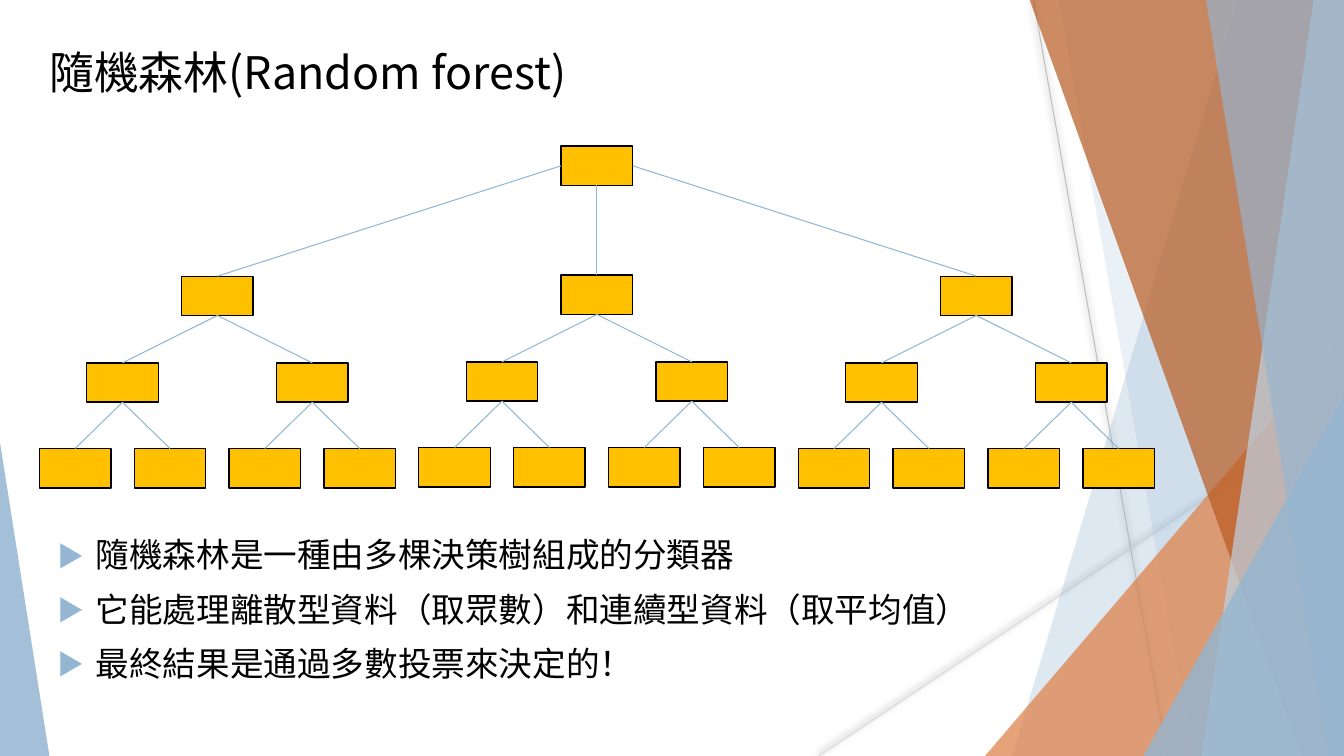
from dataclasses import dataclass

from lxml.etree import SubElement
from pptx import Presentation
from pptx.dml.color import RGBColor
from pptx.enum.shapes import MSO_CONNECTOR, MSO_SHAPE
from pptx.enum.text import MSO_ANCHOR, PP_ALIGN
from pptx.oxml.ns import qn
from pptx.util import Inches, Pt


@dataclass(frozen=True)
class Theme:
    font: str = "Noto Sans CJK SC"
    text: str = "000000"
    accent: str = "94B6D2"
    pale: str = "BFD3E4"
    orange: str = "DD8047"
    rust: str = "B95B22"
    node: str = "FFC000"
    branch: str = "8EB7D8"
    ray: str = "BFBFBF"
    pale_ray: str = "D9D9D9"
    title_size: float = 32
    body_size: float = 24
    thin: float = 0.75
    outline: float = 1
    leading: float = 1.2


THEME = Theme()
TOP, LEFT, BOTTOM, RIGHT = range(4)
SLIDE_W, SLIDE_H = 13.33, 7.5


def set_values(target, values):
    for name, value in values.items():
        setattr(target, name, value)


def add_xml(parent, tag, **attributes):
    return SubElement(parent, qn(tag), {k: str(v) for k, v in attributes.items()})


def paint(shape, color, opacity=100):
    shape.shadow.inherit = False
    shape.fill.solid()
    shape.fill.fore_color.rgb = RGBColor.from_string(color)
    if opacity < 100:
        solid = shape._element.spPr.find(qn("a:solidFill"))
        add_xml(solid[0], "a:alpha", val=opacity * 1000)
    shape.line.fill.background()


def draw_line(slide, color, start=(0, 0), end=(0, 0)):
    """Return a thin line and its empty effect list."""
    line = slide.shapes.add_connector(
        MSO_CONNECTOR.STRAIGHT, *[Inches(v) for v in (*start, *end)])
    line.line.color.rgb = RGBColor.from_string(color)
    line.line.width = Pt(THEME.thin)
    return line, add_xml(line._element.spPr, "a:effectLst")


# Decorative rays, bands and corner triangles
def draw_backdrop(slide, width, height):
    def ray(color, start, end):
        _, effects = draw_line(slide, color, start, end)
        shadow = add_xml(effects, "a:outerShdw", blurRad=Pt(5), dist=Pt(2),
                         dir=245 * 60000, rotWithShape=0)
        add_xml(add_xml(shadow, "a:srgbClr", val="000000"), "a:alpha", val=50000)

    def band(color, opacity, top_x, bottom_x):
        corners = [(top_x, -0.01), (width, -0.01), (width, height), (bottom_x, height)]
        points = [(Inches(x), Inches(y)) for x, y in corners]
        outline = slide.shapes.build_freeform(*points[0], scale=1.0)
        outline.add_line_segments(points[1:], close=True)
        paint(outline.convert_to_shape(), color, opacity)

    def corner(color, opacity, left, top, corner_width, apex):
        triangle = slide.shapes.add_shape(
            MSO_SHAPE.ISOSCELES_TRIANGLE, Inches(left), Inches(top),
            Inches(corner_width), Inches(height - top))
        triangle.adjustments[0] = apex
        paint(triangle, color, opacity)

    ray(THEME.ray, (10.25, 0), (11.58, height))
    ray(THEME.pale_ray, (width, 4.03), (8.12, height))
    band(THEME.accent, 30, 12.28, 10.04)
    band(THEME.accent, 20, 10.5, 11.83)
    corner(THEME.orange, 72, 9.77, 3.33, width - 9.77, 1)
    band(THEME.rust, 70, 10.21, 12.91)
    band(THEME.pale, 70, 13.03, 11.92)
    band(THEME.accent, 65, 11.96, 13.18)
    corner(THEME.accent, 80, 11.34, 3.93, width - 11.34, 1)
    corner(THEME.accent, 85, 0, 4.39, 0.49, 0)


# Forest: one root, three binary trees, twelve leaves
def draw_forest(slide, left, top, width):
    node_w, node_h = 0.71, 0.39
    trees, leaves_per_tree = 3, 4
    pitch = (width - node_w) / (trees * leaves_per_tree - 1)
    level_tops = [1.29, 2.15, 3.0]

    def node(column, y):
        box = slide.shapes.add_shape(
            MSO_SHAPE.RECTANGLE, Inches(left + column * pitch), Inches(top + y),
            Inches(node_w), Inches(node_h))
        paint(box, THEME.node)
        box.line.color.rgb = RGBColor.from_string(THEME.text)
        box.line.width = Pt(THEME.outline)
        return box

    def branch(parent, side, child):
        line, _ = draw_line(slide, THEME.branch)
        line.begin_connect(parent, side)
        line.end_connect(child, TOP)

    def grow(first_leaf, leaf_count, level, lift):
        parent = node(first_leaf + (leaf_count - 1) / 2, level_tops[level] - lift)
        if leaf_count > 1:
            half = leaf_count // 2
            for start in (first_leaf, first_leaf + half):
                branch(parent, BOTTOM, grow(start, half, level + 1, lift))
        return parent

    root = node((trees * leaves_per_tree - 1) / 2, 0)
    for tree, (side, lift) in enumerate([(LEFT, 0), (BOTTOM, 0.01), (RIGHT, 0)]):
        branch(root, side, grow(tree * leaves_per_tree, leaves_per_tree, 0, lift))


def write_text(slide, box, lines, size, anchor, bulleted=False):
    frame = slide.shapes.add_textbox(*[Inches(v) for v in box]).text_frame
    set_values(frame, {
        "word_wrap": True, "vertical_anchor": anchor,
        "margin_left": Inches(0.1), "margin_right": Inches(0.1),
        "margin_top": Inches(0.05), "margin_bottom": Inches(0.05)})
    for index, line in enumerate(lines):
        paragraph = frame.paragraphs[0] if index == 0 else frame.add_paragraph()
        set_values(paragraph, {
            "alignment": PP_ALIGN.LEFT, "line_spacing": Pt(size * THEME.leading),
            "space_before": Pt(10 if index else 0)})
        if bulleted:
            add_bullet(paragraph)
        run = paragraph.add_run()
        run.text = line
        set_values(run.font, {"size": Pt(size), "name": THEME.font})
        run.font.color.rgb = RGBColor.from_string(THEME.text)
        add_xml(run.font._element, "a:ea", typeface=THEME.font)


def add_bullet(paragraph):
    properties = paragraph._p.get_or_add_pPr()
    properties.set("marL", str(Inches(0.38)))
    properties.set("indent", str(-Inches(0.38)))
    add_xml(add_xml(properties, "a:buClr"), "a:srgbClr", val=THEME.accent)
    add_xml(properties, "a:buSzPct", val=80000)
    add_xml(properties, "a:buFont", typeface=THEME.font)
    add_xml(properties, "a:buChar", char="▶")


def draw_title(slide, box):
    write_text(slide, box, ["隨機森林(Random forest)"],
               THEME.title_size, MSO_ANCHOR.MIDDLE)


def draw_summary(slide, box):
    points = ["隨機森林是一種由多棵決策樹組成的分類器",
              "它能處理離散型資料（取眾數）和連續型資料（取平均值）",
              "最終結果是通過多數投票來決定的！"]
    write_text(slide, box, points, THEME.body_size, MSO_ANCHOR.TOP, bulleted=True)


def main():
    deck = Presentation()
    set_values(deck, {"slide_width": Inches(SLIDE_W), "slide_height": Inches(SLIDE_H)})
    slide = deck.slides.add_slide(deck.slide_layouts[6])
    draw_backdrop(slide, SLIDE_W, SLIDE_H)
    draw_title(slide, (0.39, 0.39, 9.4, 0.64))
    draw_forest(slide, 0.39, 1.45, 11.06)
    draw_summary(slide, (0.47, 5.25, 10.9, 1.59))
    deck.save("out.pptx")


if __name__ == "__main__":
    main()
